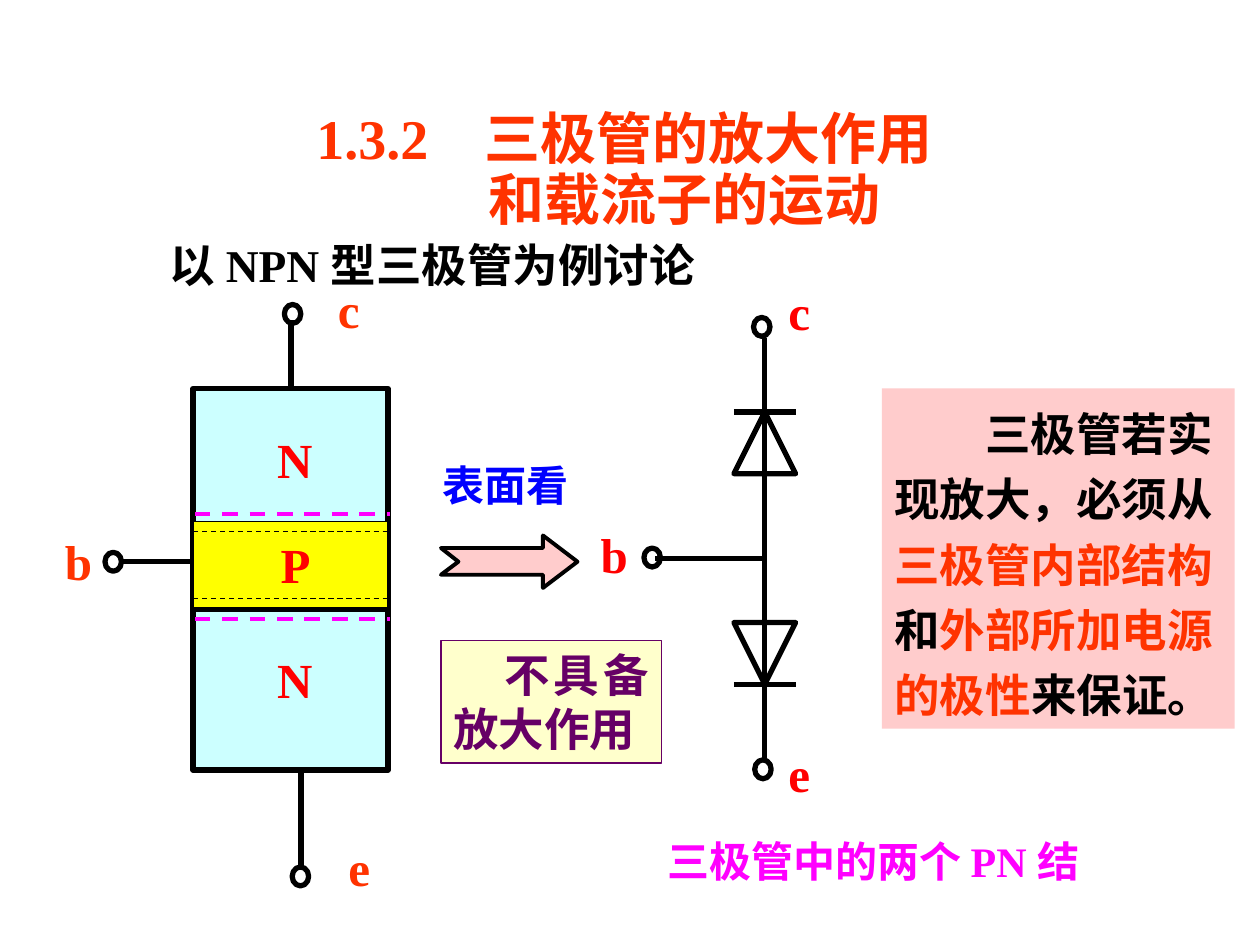
from lxml import etree
from pptx import Presentation
from pptx.dml.color import RGBColor
from pptx.enum.dml import MSO_LINE
from pptx.enum.shapes import MSO_CONNECTOR, MSO_SHAPE
from pptx.enum.text import MSO_ANCHOR, PP_ALIGN
from pptx.oxml.ns import qn
from pptx.util import Pt

STRAIGHT = MSO_CONNECTOR.STRAIGHT
RECTANGLE, OVAL, TRIANGLE = MSO_SHAPE.RECTANGLE, MSO_SHAPE.OVAL, MSO_SHAPE.ISOSCELES_TRIANGLE
LEFT, CENTER, JUSTIFY = PP_ALIGN.LEFT, PP_ALIGN.CENTER, PP_ALIGN.JUSTIFY
TOP, MIDDLE = MSO_ANCHOR.TOP, MSO_ANCHOR.MIDDLE
DASH = MSO_LINE.DASH

COLORS = {
    "black": "000000", "orange": "FF3300", "red": "FF0000", "magenta": "FF00FF",
    "blue": "0000FF", "purple": "660066", "cyan": "CCFFFF", "yellow": "FFFF00",
    "pink": "FFCCCC", "cream": "FFFFCC",
}


def color(name):
    return RGBColor.from_string(COLORS[name])


class Drawing:
    """Holds the slide and its text style; all lengths are in points."""

    font_name = "Times New Roman"
    label_size = 28
    wire_width = 3
    terminal_size = (9.4, 10.8)

    def __init__(self, slide):
        self.slide = slide

    def fill_paragraph(self, paragraph, runs, size, align=LEFT, spacing=None, margin=0, indent=0):
        """Fill a paragraph with (text, colour) runs."""
        paragraph.alignment = align
        if spacing:
            paragraph.line_spacing = spacing
        if margin or indent:
            properties = paragraph._p.get_or_add_pPr()
            properties.set("marL", str(Pt(margin)))
            properties.set("indent", str(Pt(indent)))
        for text, name in runs:
            run = paragraph.add_run()
            run.text = text
            run.font.name = self.font_name
            run.font.size = Pt(size)
            run.font.bold = True
            run.font.color.rgb = color(name)

    def text(self, box, runs, size, **layout):
        frame = self.slide.shapes.add_textbox(*map(Pt, box)).text_frame
        frame.word_wrap = True
        self.fill_paragraph(frame.paragraphs[0], runs, size, **layout)
        return frame

    def label(self, box, text, name="red"):
        frame = self.text(box, [(text, name)], self.label_size, align=CENTER)
        frame.word_wrap = False
        frame.vertical_anchor = MIDDLE

    def paint(self, shape, fill, line, width):
        shape.shadow.inherit = False
        if fill:
            shape.fill.solid()
            shape.fill.fore_color.rgb = color(fill)
        else:
            shape.fill.background()
        if line:
            shape.line.color.rgb = color(line)
            shape.line.width = Pt(width)
        else:
            shape.line.fill.background()

    def shape(self, kind, box, fill=None, line="black", width=wire_width):
        shape = self.slide.shapes.add_shape(kind, *map(Pt, box))
        self.paint(shape, fill, line, width)
        return shape

    def note(self, box, fill, line, runs, size, **layout):
        frame = self.shape(RECTANGLE, box, fill, line, 0.75).text_frame
        frame.word_wrap = True
        frame.vertical_anchor = TOP
        self.fill_paragraph(frame.paragraphs[0], runs, size, **layout)

    def line(self, start, end, name="black", width=wire_width, dash=None):
        connector = self.slide.shapes.add_connector(STRAIGHT, *map(Pt, start + end))
        connector.line.color.rgb = color(name)
        connector.line.width = Pt(width)
        if dash:
            connector.line.dash_style = dash
        etree.SubElement(connector._element.spPr, qn("a:effectLst"))

    def terminal(self, left, top):
        self.shape(OVAL, (left, top) + self.terminal_size)

    def diode(self, left, top, side, points_down=False):
        triangle = self.shape(TRIANGLE, (left, top, side, side))
        bar = top
        if points_down:
            triangle.rotation = 180
            bar += side
        self.line((left, bar), (left + side, bar))

    def outline(self, points, fill, width):
        start, *others = [(Pt(x), Pt(y)) for x, y in points]
        builder = self.slide.shapes.build_freeform(*start)
        builder.add_line_segments(others, close=True)
        self.paint(builder.convert_to_shape(), fill, "black", width)


def draw_headings(drawing):
    title = drawing.text((144, 60, 426, 76), [("1.3.2　三极管的放大作用", "orange")], 32,
                         align=CENTER, spacing=0.9)
    drawing.fill_paragraph(title.add_paragraph(), [("和载流子的运动", "orange")], 32,
                           spacing=0.9, margin=128)
    drawing.text((90, 132, 390, 39), [("以 NPN 型三极管为例讨论", "black")], 26, align=JUSTIFY)
    drawing.text((270, 474, 396, 36), [("三极管中的两个 PN 结", "magenta")], 24,
                 align=CENTER, margin=62)


def draw_transistor(drawing):
    left, width = 110.3, 111.5
    right = left + width
    drawing.shape(RECTANGLE, (left, 222, width, 218), "cyan")
    drawing.line((left + 1, 348.5), (right + 1, 348.5), width=2.25)
    for start, end in (((166.3, 221), (166.3, 183)),
                       ((172, 440.6), (172, 495.4)),
                       ((111.6, 321), (69, 321))):
        drawing.line(start, end)
    for y in (293.8, 353.5):
        drawing.line((left + 1, y), (right + 1, y), "magenta", 2.25, DASH)
    for left_top in ((60, 315.6), (162.5, 174), (167, 495.4)):
        drawing.terminal(*left_top)
    drawing.shape(RECTANGLE, (left, 298, width, 49), "yellow", width=0.75)
    for y in (303.6, 342):
        drawing.line((left, y), (right + 0.7, y), width=0.75, dash=DASH)
    drawing.label((151.2, 242, 34.6, 41), "N")
    drawing.label((153, 301.7, 31.7, 41), "P")
    drawing.label((151.2, 367.2, 34.6, 41), "N")
    for name, x, y in (("c", 186, 156), ("e", 192, 475.2), ("b", 30, 300)):
        drawing.text((x, y, 48, 41), [(name, "orange")], drawing.label_size)


def draw_diode_model(drawing):
    axis, side = 437, 35.3
    drawing.line((axis, 434.9), (axis, 193))
    drawing.line((axis, 319), (374.4, 319))
    for left_top in ((368, 313.2), (430.6, 181.4), (431.3, 434.2)):
        drawing.terminal(*left_top)
    drawing.diode(axis - side / 2, 235.4, side)
    drawing.diode(axis - side / 2, 355.7, side, points_down=True)
    drawing.label((336.2, 296, 29.5, 41), "b")
    drawing.label((443.5, 421.2, 26.6, 41), "e")
    drawing.label((443.5, 157, 26.6, 41), "c")


def draw_explanations(drawing):
    drawing.outline([(252, 313.2), (310.3, 313.2), (310.3, 306), (330, 321), (310.3, 336),
                     (310.3, 328.5), (252, 328.5), (262, 321)], "pink", 2.25)
    drawing.text((246, 259.2, 114, 36), [("表面看", "blue")], 24)
    drawing.note((504, 222, 201.6, 194.4), "pink", None,
                 [("三极管若实现放大，必须从", "black"), ("三极管内部结构", "orange"),
                  ("和", "black"), ("外部所加电源的极性", "orange"), ("来保证。", "black")],
                 26, spacing=1.2, indent=52)
    drawing.note((252, 366, 126, 70), "cream", "purple",
                 [("不具备放大作用", "purple")], 26, align=JUSTIFY, indent=29)


def main():
    presentation = Presentation()
    presentation.slide_width, presentation.slide_height = Pt(720), Pt(540)
    drawing = Drawing(presentation.slides.add_slide(presentation.slide_layouts[6]))
    draw_headings(drawing)
    draw_transistor(drawing)
    draw_diode_model(drawing)
    draw_explanations(drawing)
    presentation.save("out.pptx")


if __name__ == "__main__":
    main()
